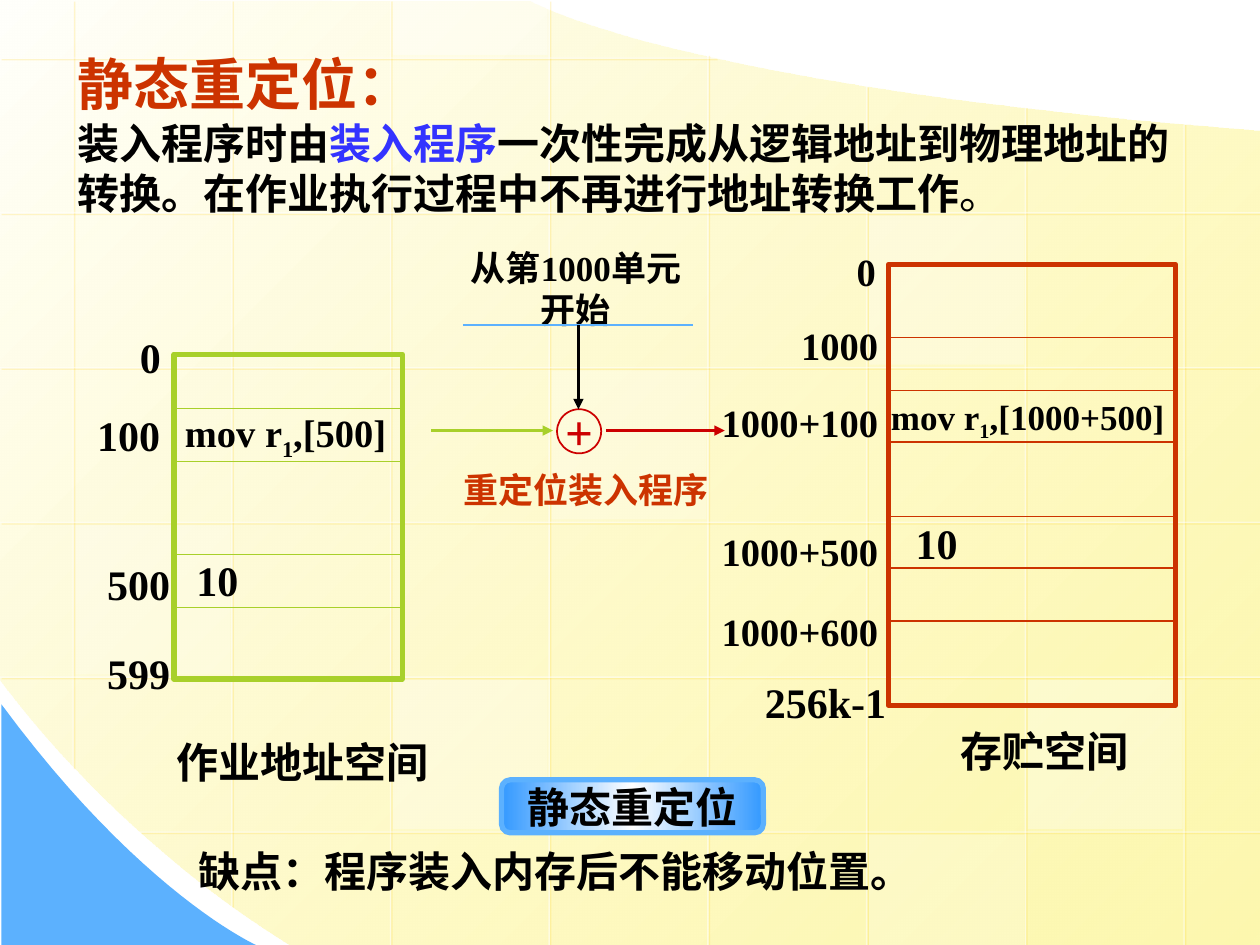
from lxml import etree
from pptx import Presentation
from pptx.dml.color import RGBColor
from pptx.enum.shapes import MSO_CONNECTOR, MSO_SHAPE
from pptx.enum.text import MSO_ANCHOR, MSO_AUTO_SIZE, PP_ALIGN
from pptx.oxml import parse_xml
from pptx.oxml.ns import nsdecls, qn
from pptx.util import Cm, Pt

STRAIGHT = MSO_CONNECTOR.STRAIGHT
RECTANGLE, ROUNDED, OVAL = MSO_SHAPE.RECTANGLE, MSO_SHAPE.ROUNDED_RECTANGLE, MSO_SHAPE.OVAL
MIDDLE, BOTTOM = MSO_ANCHOR.MIDDLE, MSO_ANCHOR.BOTTOM
LEFT, CENTER = PP_ALIGN.LEFT, PP_ALIGN.CENTER
NO_AUTOFIT = MSO_AUTO_SIZE.NONE
SERIF, SANS = "Times New Roman", "Arial"
BLACK, WHITE, SKY, GREEN, RED, ORANGE = "000000", "FFFFFF", "5CB1FE", "A8D02A", "CC0000", "CC3300"
PAGE_WIDTH, PAGE_HEIGHT = 25.4, 19.05
LINE_HEIGHT = {20: 1.09, 22: 1.19, 24: 1.27}


def rgb(color):
    return RGBColor.from_string(color)


def set_alpha(shape, percent):
    color = shape.element.spPr.find(".//" + qn("a:srgbClr"))
    etree.SubElement(color, qn("a:alpha"), val=str(percent * 1000))


def set_gradient(shape, stops, angle):
    """Stops are (position, colour, opacity), all in percent."""
    marks = "".join(
        f'<a:gs pos="{position * 1000}"><a:srgbClr val="{color}">'
        f'<a:alpha val="{opacity * 1000}"/></a:srgbClr></a:gs>'
        for position, color, opacity in stops)
    shape.fill.background()
    properties = shape.element.spPr
    properties.replace(properties.find(qn("a:noFill")), parse_xml(
        f'<a:gradFill {nsdecls("a")} rotWithShape="1"><a:gsLst>{marks}</a:gsLst>'
        f'<a:lin ang="{angle * 60000}" scaled="0"/></a:gradFill>'))


def style(shape, fill=None, line=None, width=1):
    shape.shadow.inherit = False
    if fill:
        shape.fill.solid()
        shape.fill.fore_color.rgb = rgb(fill)
    else:
        shape.fill.background()
    if line:
        shape.line.color.rgb = rgb(line)
        shape.line.width = Pt(width)
    else:
        shape.line.fill.background()
    return shape


def add_box(page, kind, box, **look):
    return style(page.shapes.add_shape(kind, *map(Cm, box)), **look)


def add_line(page, start, end, color, width=0.75, arrow=False):
    line = page.shapes.add_connector(STRAIGHT, *map(Cm, start + end))
    line.line.color.rgb = rgb(color)
    line.line.width = Pt(width)
    if arrow:
        etree.SubElement(line.line._get_or_add_ln(), qn("a:tailEnd"), type="triangle")
    etree.SubElement(line.element.spPr, qn("a:effectLst"))
    return line


def set_font(font, size, color=BLACK, name=SERIF, bold=True):
    font.size, font.name, font.bold = Pt(size), name, bold
    font.color.rgb = rgb(color)


def write(shape, text, size, color=BLACK, align=LEFT, name=SERIF, anchor=None, wrap=False):
    """Text is a string, or spans of which the second is a subscript."""
    frame = shape.text_frame
    frame.word_wrap = wrap
    if anchor is not None:
        frame.vertical_anchor = anchor
    para = frame.paragraphs[0]
    para.alignment = align
    set_font(para.font, size, color, name)
    for index, part in enumerate([text] if isinstance(text, str) else text):
        span = para.add_run()
        span.text = part
        if index == 1:
            span._r.get_or_add_rPr().set("baseline", "-25000")


def add_text(page, left, top, width, text, size, **look):
    box = page.shapes.add_textbox(Cm(left), Cm(top), Cm(width), Cm(LINE_HEIGHT[size]))
    write(box, text, size, **look)


def curve(start, first, second, end, steps=24):
    """Points along a cubic curve, without its start."""
    for step in range(1, steps + 1):
        t = step / steps
        weights = ((1 - t) ** 3, 3 * t * (1 - t) ** 2, 3 * t * t * (1 - t), t ** 3)
        yield tuple(sum(w * point[axis] for w, point in zip(weights, (start, first, second, end)))
                    for axis in (0, 1))


def add_outline(page, points):
    points = [(Cm(x), Cm(y)) for x, y in points]
    builder = page.shapes.build_freeform(*points[0], scale=1.0)
    builder.add_line_segments(points[1:], close=True)
    return style(builder.convert_to_shape())


def add_background(page):
    # Yellow field and blue corner
    field = add_outline(page, [
        (PAGE_WIDTH, 2.64), (PAGE_WIDTH, PAGE_HEIGHT), (5.84, PAGE_HEIGHT),
        *curve((5.84, PAGE_HEIGHT), (2.18, 16.79), (0, 13.69), (0, 13.69)),
        (0, 0), (10.69, 0.03),
        *curve((10.69, 0.03), (10.69, 0.03), (13.64, 1.75), (PAGE_WIDTH, 2.64))])
    set_gradient(field, [(0, "FFFFFB", 100), (100, "FDF58D", 70)], 45)
    corner = add_outline(page, [
        (0.03, 14.2), (0.03, PAGE_HEIGHT), (5.16, PAGE_HEIGHT),
        *curve((5.16, PAGE_HEIGHT), (5.16, PAGE_HEIGHT), (2.84, 18.01), (0.03, 14.2))])
    style(corner, fill=SKY)

    # Grid, trimmed to the field
    columns = [1.47 + 3.2 * i for i in range(8)]
    rows = [1.17 + 3.12 * i for i in range(6)]
    tops = [0, 0, 0, 0, 1.09, 1.73, 2.16, 2.49]
    bottoms = [15.47, 18.26] + [PAGE_HEIGHT] * 6
    lefts = [0] * 5 + [2.82]
    rights = [14.43] + [PAGE_WIDTH] * 5
    ends = [((x, top), (x, bottom)) for x, top, bottom in zip(columns, tops, bottoms)]
    ends += [((right, y), (left, y)) for y, left, right in zip(rows, lefts, rights)]
    for start, end in ends:
        line = add_line(page, start, end, WHITE)
        set_alpha(line, 50)
        line.element.spPr.find(qn("a:effectLst")).append(parse_xml(
            f'<a:outerShdw {nsdecls("a")} dist="17780" dir="2700000">'
            '<a:srgbClr val="FFCC00"><a:alpha val="34000"/></a:srgbClr></a:outerShdw>'))

    # Lighter cells: column, row, opacity
    for column, row, opacity in [(3, 2, 25), (6, 4, 30), (0, 3, 20), (5, 5, 20),
                                 (2, -1, 40), (2, 4, 30), (5, 1, 30)]:
        top = 1.23 + 3.12 * row
        bottom = min(top + 3, PAGE_HEIGHT)
        top = max(top, 0)
        cell = add_box(page, RECTANGLE, (1.52 + 3.2 * column, top, 3.12, bottom - top), fill=WHITE)
        set_alpha(cell, opacity)


def add_title(page, box):
    title = page.shapes.title
    title.left, title.top, title.width, title.height = map(Cm, box)
    frame = title.text_frame
    frame.word_wrap, frame.auto_size, frame.vertical_anchor = True, NO_AUTOFIT, BOTTOM
    para = frame.paragraphs[0]
    para.alignment = LEFT
    for text, size, color, bold in [
            ("静态重定位：\v", 32, ORANGE, True),
            ("装入程序时由", 24, BLACK, True),
            ("装入程序", 24, "3333FF", True),
            ("一次性完成从逻辑地址到物理地址的转换。在作业执行过程中不再进行地址转换工作", 24, BLACK, True),
            ("。", 24, BLACK, False)]:
        span = para.add_run()
        span.text = text.rstrip("\v")
        set_font(span.font, size, color, SANS, bold)
        if text.endswith("\v"):
            para.add_line_break()
    # Bring the title in front of the background
    title.element.getparent().append(title.element)


def add_address_space(page, box, color, dividers, texts, caption):
    """Texts are (left, top, width, text, size), measured from the box corner."""
    left, top, width, height = box
    add_box(page, RECTANGLE, box, line=color, width=3)
    for offset in dividers:
        add_line(page, (left, top + offset), (left + width, top + offset), color)
    for x, y, text_width, text, size in texts:
        add_text(page, left + x, top + y, text_width, text, size)
    x, y, text_width, text = caption
    add_text(page, left + x, top + y, text_width, text, 24, align=CENTER)


def add_relocation(page, left, top):
    add_text(page, left + 0.38, top, 5.08, "从第1000单元开始", 20, align=CENTER, anchor=MIDDLE)
    add_line(page, (left + 0.64, top + 1.27), (left + 5.28, top + 1.27), SKY)
    adder = add_box(page, OVAL, (left + 2.54, top + 2.97, 0.89, 0.89), line=RED)
    write(adder, "+", 28, color=RED, align=CENTER, anchor=MIDDLE)
    for x1, y1, x2, y2, color in [(2.97, 1.27, 2.97, 2.97, BLACK),
                                  (0, 3.4, 2.46, 3.4, GREEN), (3.53, 3.4, 5.92, 3.4, RED)]:
        add_line(page, (left + x1, top + y1), (left + x2, top + y2), color, 1.5, arrow=True)
    add_text(page, left + 0.23, top + 4.04, 5.79, "重定位装入程序", 20, color=ORANGE, align=CENTER)


def add_conclusion(page, left, top):
    badge = add_box(page, ROUNDED, (left + 7.01, top, 5.28, 1.07), line=SKY, width=3)
    set_gradient(badge, [(0, "3399FF", 100), (50, WHITE, 100), (100, "3399FF", 100)], 0)
    write(badge, "静态重定位", 24, align=CENTER, anchor=MIDDLE)
    add_text(page, left, top + 1.2, 16.21, "缺点：程序装入内存后不能移动位置。", 24,
             align=CENTER, name=SANS, wrap=True)


def main():
    deck = Presentation()
    deck.slide_width, deck.slide_height = Cm(PAGE_WIDTH), Cm(PAGE_HEIGHT)
    page = deck.slides.add_slide(deck.slide_layouts[5])
    add_background(page)
    add_title(page, (1.3, 0.71, 23.01, 3.81))
    # Physical memory
    add_address_space(
        page, (17.91, 5.33, 5.79, 8.89), ORANGE, [1.47, 2.54, 3.58, 5.08, 6.12, 7.19],
        [(-0.89, -0.46, 0.89, "0", 22), (-2.01, 1.04, 2.06, "1000", 22),
         (-3.61, 2.59, 3.66, "1000+100", 22), (-3.61, 5.18, 3.66, "1000+500", 22),
         (-3.61, 6.81, 3.66, "1000+600", 22), (-2.74, 8.18, 2.95, "256k-1", 24),
         (-0.2, 2.51, 6.05, ("mov r", "1", ",[1000+500]"), 20), (0.3, 4.98, 1.35, "10", 24)],
        (0.91, 9.17, 4.47, "存贮空间"))
    # Job
    add_address_space(
        page, (3.51, 7.14, 4.6, 6.55), GREEN, [1.09, 2.16, 4.04, 5.11],
        [(-0.94, -0.58, 0.94, "0", 24), (-1.8, 0.99, 1.78, "100", 24),
         (-1.6, 3.99, 1.78, "500", 24), (-1.6, 5.79, 1.78, "599", 24),
         (-0.03, 0.99, 4.62, ("mov r", "1", ",[500]"), 22), (0.2, 3.91, 1.35, "10", 24)],
        (-0.41, 7.59, 5.99, "作业地址空间"))
    add_relocation(page, 8.69, 5.28)
    add_conclusion(page, 3.1, 15.72)
    deck.save("out.pptx")


if __name__ == "__main__":
    main()
